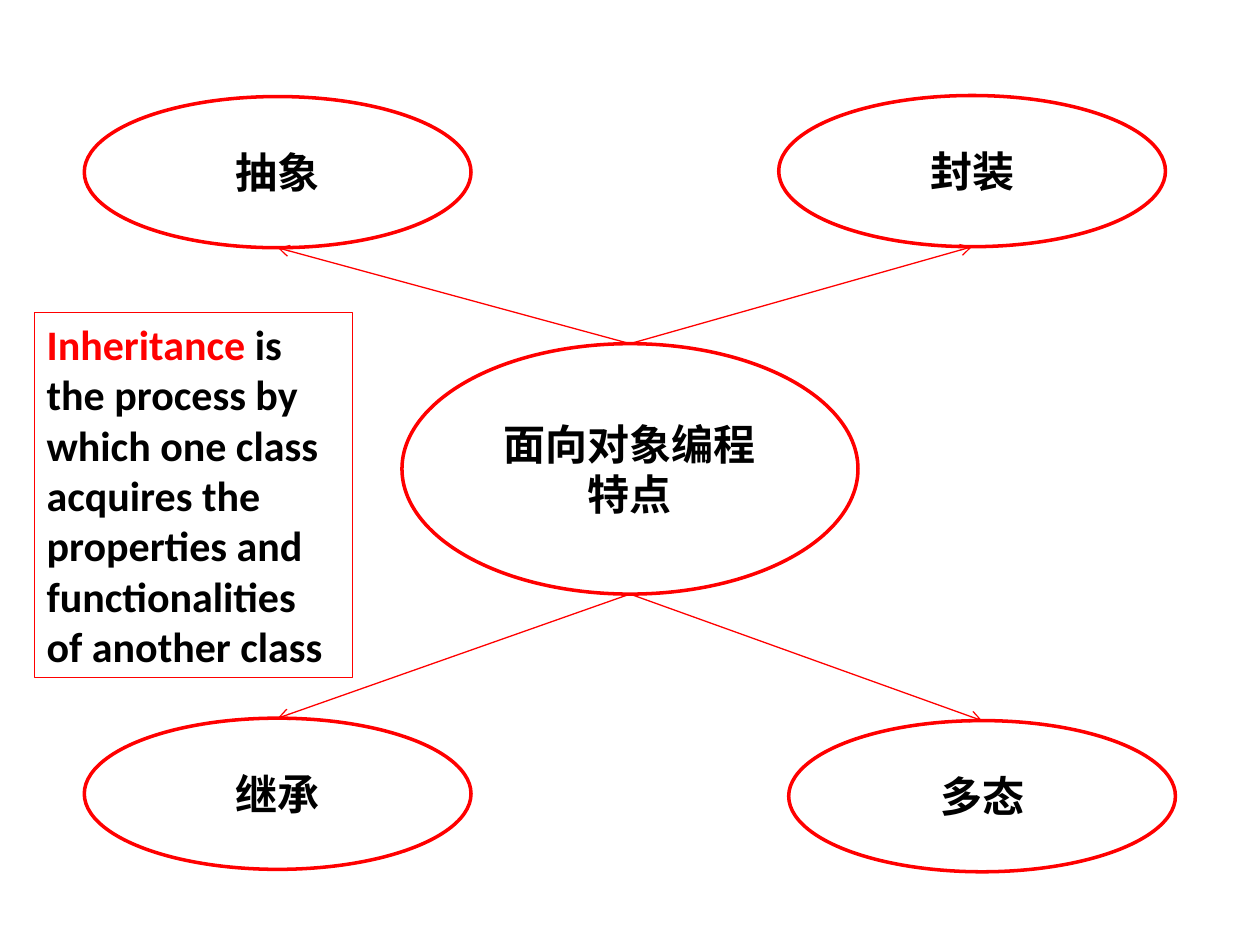
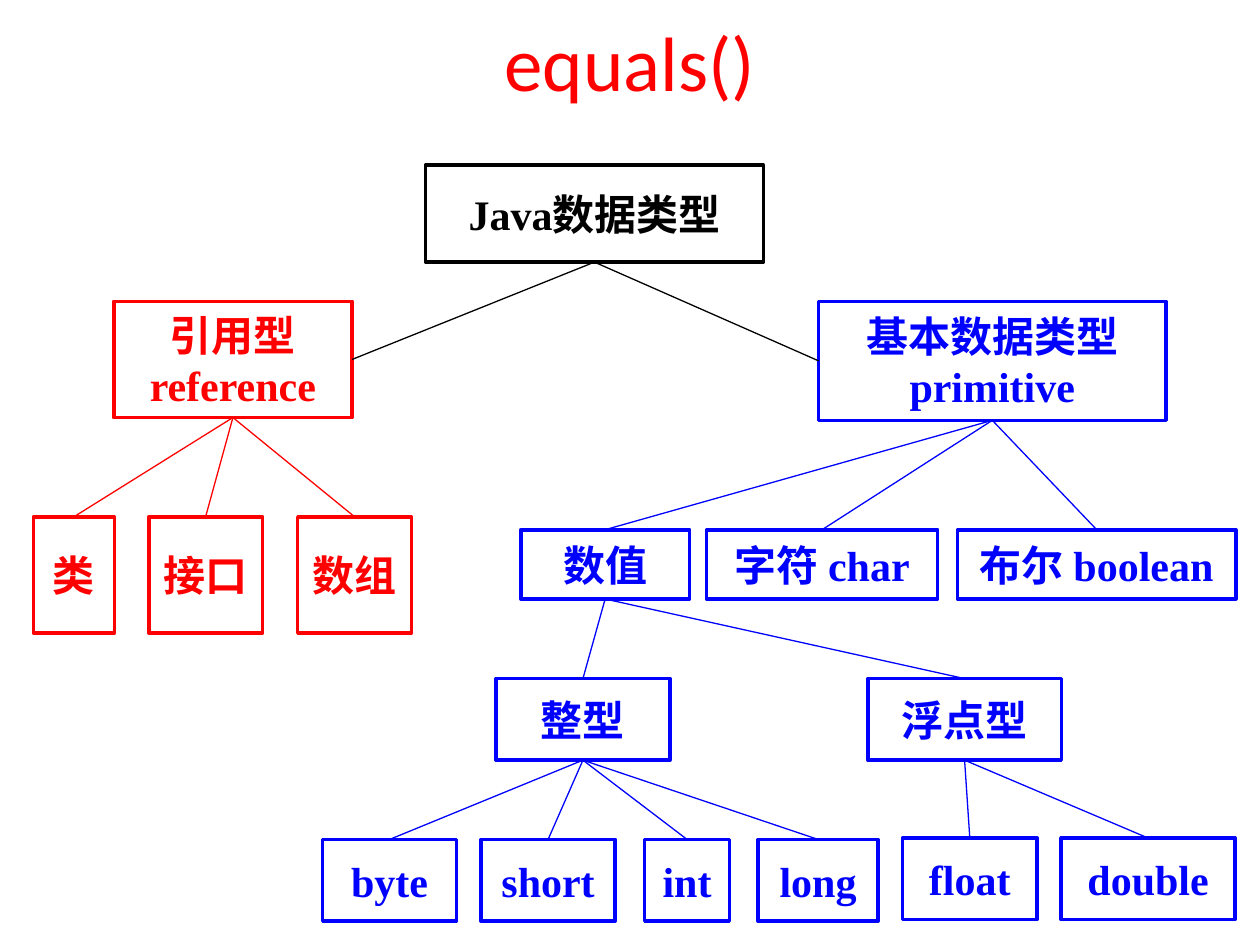
import pptx
import pptx.dml.color
import pptx.enum.shapes
import pptx.enum.text
import pptx.oxml.ns
import pptx.util
from lxml import etree

Pt = pptx.util.Pt
RGBColor = pptx.dml.color.RGBColor
Shape = pptx.enum.shapes.MSO_SHAPE
Anchor = pptx.enum.text.MSO_ANCHOR
Align = pptx.enum.text.PP_ALIGN
qn = pptx.oxml.ns.qn

RED = RGBColor(0xFF, 0x00, 0x00)
BLUE = RGBColor(0x00, 0x00, 0xFF)
BLACK = RGBColor(0x00, 0x00, 0x00)
WHITE = RGBColor(0xFF, 0xFF, 0xFF)

CHINESE, SERIF, SANS = "Noto Sans CJK SC", "Times New Roman", "Calibri"
TITLE_ONLY, BLANK = 5, 6
TOP, LEFT, BOTTOM, RIGHT = range(4)  # connection sites of a rectangle


class Deck:
    """Holds the shared style and the slide being built."""

    body_size = Pt(24)
    title_size = Pt(44)
    outline = Pt(2)
    thin = Pt(0.75)

    def __init__(self):
        self.presentation = pptx.Presentation()
        self.presentation.slide_width = Pt(720)
        self.presentation.slide_height = Pt(540)
        self.slide = None

    def new_slide(self, layout):
        self.slide = self.presentation.slides.add_slide(
            self.presentation.slide_layouts[layout])

    def add_run(self, paragraph, text, font, size, color, bold=True):
        run = paragraph.add_run()
        run.text = text
        run.font.name = font
        run.font.size = size
        run.font.bold = bold
        run.font.color.rgb = color
        east_asian = etree.SubElement(run.font._element, qn("a:ea"))
        east_asian.set("typeface", CHINESE)

    def title(self, text, left, top, width, height):
        title = self.slide.shapes.title
        title.left, title.top = Pt(left), Pt(top)
        title.width, title.height = Pt(width), Pt(height)
        title.text_frame.vertical_anchor = Anchor.MIDDLE
        paragraph = title.text_frame.paragraphs[0]
        paragraph.alignment = Align.CENTER
        self.add_run(paragraph, text, SANS, self.title_size, RED, bold=False)

    def box(self, lines, area, color, font, kind=Shape.RECTANGLE,
            weight=outline, align=Align.CENTER, anchor=Anchor.MIDDLE):
        """Outlined shape; each line is a list of (text, colour) runs."""
        box = self.slide.shapes.add_shape(kind, *(Pt(n) for n in area))
        box.shadow.inherit = False
        box.fill.solid()
        box.fill.fore_color.rgb = WHITE
        box.line.color.rgb = color
        box.line.width = weight
        frame = box.text_frame
        frame.word_wrap = True
        frame.vertical_anchor = anchor
        for index, line in enumerate(lines):
            paragraph = frame.add_paragraph() if index else frame.paragraphs[0]
            paragraph.alignment = align
            for text, text_color in line:
                self.add_run(paragraph, text, font, self.body_size, text_color)
        return box

    def ellipse(self, lines, area):
        return self.box([[(line, BLACK)] for line in lines], area, RED,
                        CHINESE, Shape.OVAL)

    def node(self, lines, area, color):
        return self.box([[(line, color)] for line in lines], area, color, SERIF)

    def line(self, color, start=(0, 0), end=(0, 0), arrow=False):
        line = self.slide.shapes.add_connector(
            pptx.enum.shapes.MSO_CONNECTOR.STRAIGHT, *start, *end)
        line.line.color.rgb = color
        line.line.width = self.thin
        properties = line.element.spPr
        if arrow:
            etree.SubElement(properties.find(qn("a:ln")), qn("a:tailEnd"),
                             type="arrow")
        etree.SubElement(properties, qn("a:effectLst"))
        return line

    def branch(self, parent, child, color, child_side=TOP):
        line = self.line(color)
        line.begin_connect(parent, BOTTOM)
        line.end_connect(child, child_side)

    def children(self, parent, top, height, color, entries):
        """Row of nodes, given as (text, left, width), under their parent."""
        row = []
        for text, left, width in entries:
            child = self.node([text], (left, top, width, height), color)
            self.branch(parent, child, color)
            row.append(child)
        return row


def top_point(shape):
    return shape.left + shape.width // 2, shape.top


def bottom_point(shape):
    return shape.left + shape.width // 2, shape.top + shape.height


def build_features(deck):
    deck.new_slide(BLANK)

    # Central topic and its four features
    topic = deck.ellipse(["面向对象编程", "特点"], (229.7, 196.4, 260.6, 143.1))
    features = [("抽象", 48.2, 55.2), ("封装", 445, 54.6),
                ("继承", 48.2, 410.4), ("多态", 450.7, 411.8)]
    for name, left, top in features:
        feature = deck.ellipse([name], (left, top, 221, 86.4))
        if feature.top < topic.top:
            ends = top_point(topic), bottom_point(feature)
        else:
            ends = bottom_point(topic), top_point(feature)
        deck.line(RED, *ends, arrow=True)

    # Definition
    definition = [("Inheritance", RED),
                  (" is the process by which one class acquires the properties "
                   "and functionalities of another class", BLACK)]
    deck.box([definition], (19.6, 178.4, 181.7, 208.8), RED, SANS,
             weight=deck.thin, align=Align.LEFT, anchor=Anchor.TOP)


def build_data_types(deck):
    deck.new_slide(TITLE_ONLY)
    deck.title("equals()", 36, 3.6, 648, 62.6)

    # Root and its two families
    java_types = deck.node(["Java数据类型"], (243.2, 94.3, 193, 55.5), BLACK)
    primitive = deck.node(["基本数据类型", "primitive"],
                          (467.8, 172.2, 198.5, 68), BLUE)
    reference = deck.node(["引用型", "reference"],
                          (65, 172.2, 136.2, 66.4), RED)
    deck.branch(java_types, reference, BLACK, RIGHT)
    deck.branch(java_types, primitive, BLACK, LEFT)

    # Reference types
    deck.children(reference, 295.3, 66.4, RED,
                  [("类", 19.2, 46.2), ("接口", 85, 65), ("数组", 170.1, 65)])

    # Primitive types
    numeric, _, _ = deck.children(
        primitive, 302.7, 39.6, BLUE,
        [("数值", 297.6, 96.4), ("字符 char", 403.8, 132),
         ("布尔 boolean", 547.2, 159)])
    integer, floating = deck.children(
        numeric, 387.8, 46.6, BLUE,
        [("整型", 283.4, 99.4), ("浮点型", 495.9, 110.6)])
    deck.children(integer, 479.7, 46.6, BLUE,
                  [("byte", 184.4, 76.5), ("short", 274.8, 76.8),
                   ("int", 368.4, 48.4), ("long", 433.2, 68.6)])
    deck.children(floating, 478.9, 46.6, BLUE,
                  [("float", 515.7, 77), ("double", 606.4, 99.4)])


def main():
    deck = Deck()
    build_features(deck)
    build_data_types(deck)
    deck.presentation.save("out.pptx")


if __name__ == "__main__":
    main()
